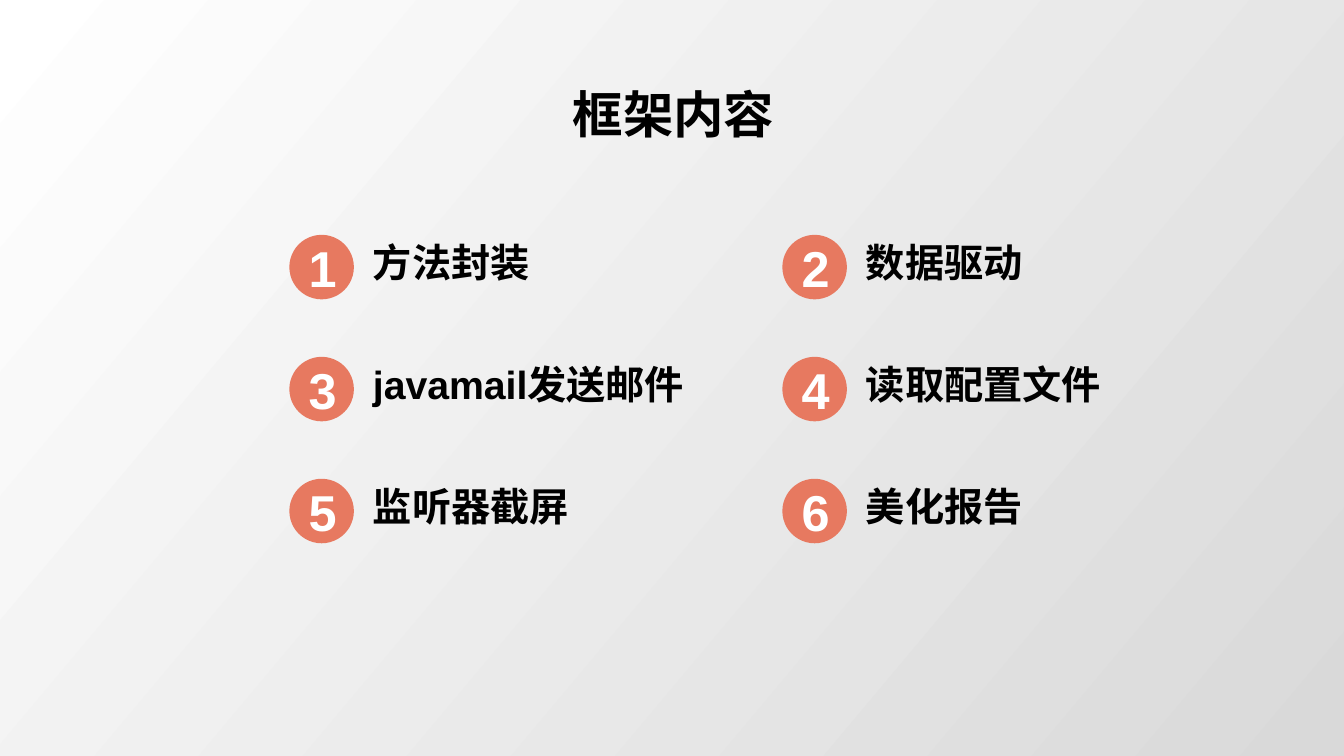
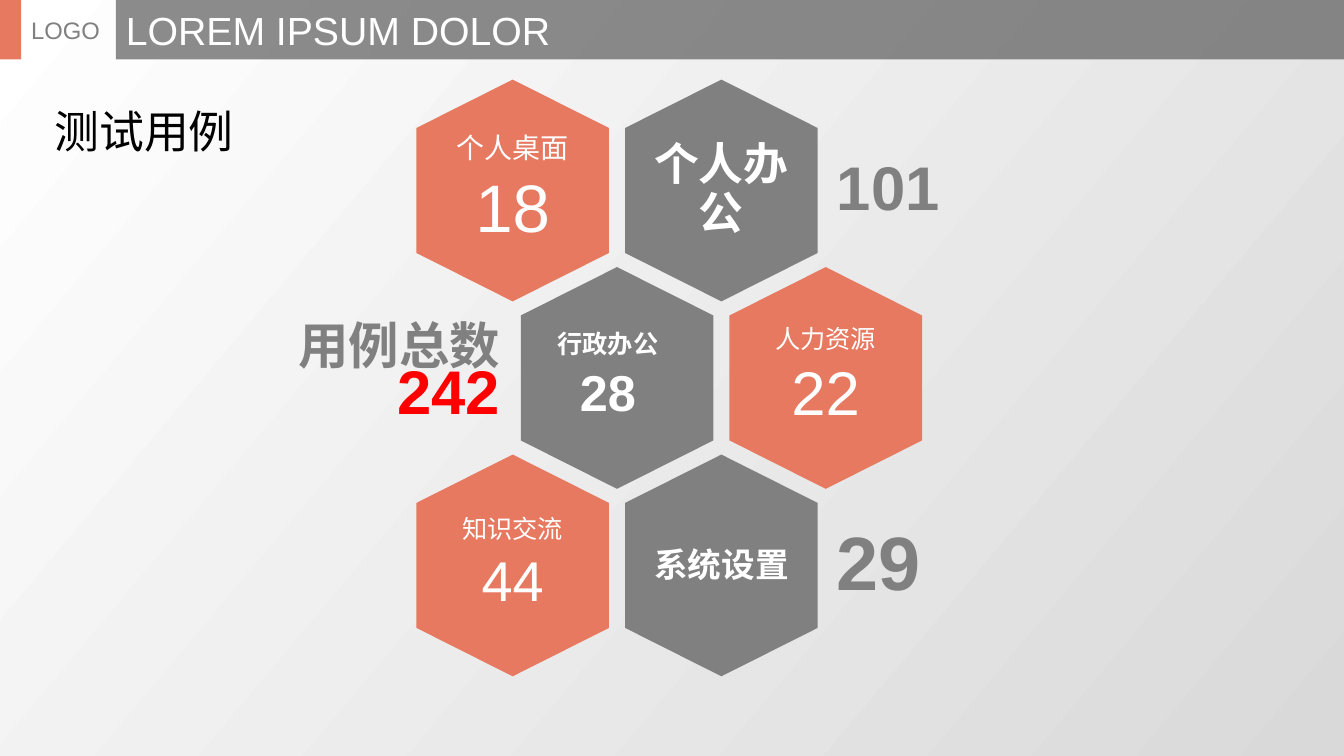
"""Build the framework overview and test case slides."""
from collections.abc import Iterable
from dataclasses import dataclass
from typing import NamedTuple

from lxml.etree import SubElement
from pptx import Presentation
from pptx.dml.color import RGBColor
from pptx.enum.shapes import MSO_SHAPE
from pptx.enum.text import MSO_ANCHOR, MSO_AUTO_SIZE, PP_ALIGN
from pptx.oxml.ns import qn
from pptx.util import Inches, Pt

CORAL = RGBColor(0xE7, 0x79, 0x60)
GREY = RGBColor(0x80, 0x80, 0x80)
BAND_GREY = RGBColor(0x59, 0x59, 0x59)
LIGHT_GREY = RGBColor(0xD9, 0xD9, 0xD9)
WHITE = RGBColor(0xFF, 0xFF, 0xFF)
BLACK = RGBColor(0, 0, 0)
RED = RGBColor(0xFF, 0, 0)

FONT = "Arial"
LEFT, CENTER, RIGHT = PP_ALIGN.LEFT, PP_ALIGN.CENTER, PP_ALIGN.RIGHT
TOP, MIDDLE = MSO_ANCHOR.TOP, MSO_ANCHOR.MIDDLE
TITLE_ONLY = 5
PLAIN_INSETS = (0.1, 0.05)
LABEL_INSETS = (0.13, 0.13)
HEX_INSETS = (0.3, 0.34)
BAND_H = 0.59
HEX_W, HEX_H, HEX_CORNER = 1.91, 2.2, 0.48
HEX_X, HEX_Y, HEX_DX, HEX_DY = 4.13, 0.79, 2.07, 1.86


class Box(NamedTuple):
    left: float
    top: float
    width: float
    height: float

    def lengths(self) -> list[Inches]:
        return [Inches(v) for v in self]


class Run(NamedTuple):
    text: str
    size: int
    color: RGBColor = WHITE
    bold: bool = False


@dataclass(frozen=True)
class Hexagon:
    row: int
    col: int
    fill: RGBColor
    lines: tuple[Run, ...] = ()


@dataclass(frozen=True)
class Label:
    box: Box
    paragraphs: tuple[tuple[Run, ...], ...]
    align: PP_ALIGN = CENTER
    spacing: float = 0.9


ITEMS = ("方法封装", "数据驱动", "javamail发送邮件", "读取配置文件", "监听器截屏", "美化报告")

HEXAGONS = (
    Hexagon(0, 1, GREY),
    Hexagon(0, 0, CORAL, (Run("个人桌面", 20), Run("18", 48))),
    Hexagon(1, 0, GREY),
    Hexagon(1, 1, CORAL, (Run("人力资源", 18), Run("22", 44))),
    Hexagon(2, 1, GREY),
    Hexagon(2, 0, CORAL, (Run("知识交流", 18), Run("44", 40))),
)

LABELS = (
    Label(Box(6.2, 1.23, 1.91, 1.32), ((Run("个人办公", 32, WHITE, True),),)),
    Label(Box(8.17, 1.23, 3.61, 1.32), ((Run("101", 44, GREY, True),),), LEFT),
    Label(Box(5.08, 3.08, 1.9, 1.33),
          ((Run("行政办公", 18, WHITE, True),), (Run("28", 36, WHITE, True),))),
    Label(Box(1.88, 3.09, 3.21, 1.32),
          ((Run("用例总数", 36, GREY, True), Run("242", 44, RED, True)),), RIGHT, 0.7),
    Label(Box(6.2, 4.96, 1.91, 1.32), ((Run("系统设置", 24, WHITE, True),),)),
    Label(Box(8.17, 4.96, 3.61, 1.32), ((Run("29", 54, GREY, True),),), LEFT),
)


def apply(target, values: dict) -> None:
    """Set every named attribute on the target."""
    for name, value in values.items():
        setattr(target, name, value)


def write(sp, paragraphs: Iterable[Iterable[Run]], align=LEFT, anchor=TOP,
          spacing: float = 1.0, after: float = 0, insets=PLAIN_INSETS) -> None:
    """Fill a shape with formatted paragraphs."""
    tf = sp.text_frame
    dx, dy = (Inches(v) for v in insets)
    apply(tf, {"word_wrap": True, "auto_size": MSO_AUTO_SIZE.NONE,
               "vertical_anchor": anchor, "margin_left": dx, "margin_right": dx,
               "margin_top": dy, "margin_bottom": dy})
    for i, runs in enumerate(paragraphs):
        p = tf.add_paragraph() if i else tf.paragraphs[0]
        apply(p, {"alignment": align, "line_spacing": spacing,
                  "space_before": Pt(0), "space_after": Pt(after * runs[0].size)})
        for run in runs:
            r = p.add_run()
            r.text = run.text
            apply(r.font, {"name": FONT, "size": Pt(run.size), "bold": run.bold})
            r.font.color.rgb = run.color


def paint(sp, color: RGBColor) -> None:
    """Give a shape a flat fill without outline or shadow."""
    sp.fill.solid()
    sp.fill.fore_color.rgb = color
    sp.line.fill.background()
    sp.shadow.inherit = False


def add_shape(s, kind: MSO_SHAPE, box: Box, color: RGBColor):
    """Add a flat preset shape."""
    sp = s.shapes.add_shape(kind, *box.lengths())
    paint(sp, color)
    return sp


def add_text(s, box: Box, paragraphs: Iterable[Iterable[Run]], **style) -> None:
    """Add a text box."""
    write(s.shapes.add_textbox(*box.lengths()), paragraphs, **style)


def add_slide(prs, box: Box, title: Run, align: PP_ALIGN):
    """Add a slide with its title placed and formatted."""
    s = prs.slides.add_slide(prs.slide_layouts[TITLE_ONLY])
    sp = s.shapes.title
    apply(sp, dict(zip(box._fields, box.lengths())))
    write(sp, [[title]], align=align)
    return s


def add_hexagon(s, hexagon: Hexagon) -> None:
    """Draw one honeycomb cell; odd rows shift by half a column."""
    x = HEX_X + HEX_DX * (hexagon.col + hexagon.row % 2 / 2)
    y = HEX_Y + HEX_DY * hexagon.row
    mid, right = x + HEX_W / 2, x + HEX_W
    upper, lower, bottom = y + HEX_CORNER, y + HEX_H - HEX_CORNER, y + HEX_H
    outline = s.shapes.build_freeform(Inches(mid), Inches(y))
    outline.add_line_segments(
        [(Inches(px), Inches(py)) for px, py in
         ((right, upper), (right, lower), (mid, bottom), (x, lower), (x, upper))])
    sp = outline.convert_to_shape()
    paint(sp, hexagon.fill)
    if hexagon.lines:
        write(sp, [[line] for line in hexagon.lines], align=CENTER, anchor=MIDDLE,
              spacing=0.9, after=0.35, insets=HEX_INSETS)


def add_band(s) -> None:
    """Draw the translucent header band with its marker."""
    band = add_shape(s, MSO_SHAPE.RECTANGLE, Box(1.15, 0, 12.18, BAND_H), BAND_GREY)
    color = band.fill._xPr.find(qn("a:solidFill"))[0]
    SubElement(color, qn("a:alpha")).set("val", "69000")
    add_shape(s, MSO_SHAPE.RECTANGLE, Box(0, 0, 0.21, BAND_H), CORAL)
    add_text(s, Box(0.21, 0, 0.95, BAND_H), [[Run("LOGO", 17, GREY)]], anchor=MIDDLE)
    add_text(s, Box(1.15, 0, 4.71, BAND_H), [[Run("LOREM IPSUM DOLOR", 28)]], anchor=MIDDLE)


def build_contents(prs) -> None:
    """Build the numbered contents grid."""
    s = add_slide(prs, Box(5.13, 0.77, 3.1, 0.71),
                  Run("框架内容", 36, BLACK, True), CENTER)
    for i, item in enumerate(ITEMS):
        row, col = divmod(i, 2)
        x, y = 2.87 + 4.89 * col, 2.33 + 1.21 * row
        badge = add_shape(s, MSO_SHAPE.OVAL, Box(x, y, 0.64, 0.64), CORAL)
        write(badge, [[Run(str(i + 1), 36, WHITE, True)]], align=CENTER, anchor=MIDDLE)
        add_text(s, Box(x + 0.73, y + 0.04, 3.45, 0.57),
                 [[Run(item, 28, BLACK, True)]], spacing=0.9)


def build_test_cases(prs) -> None:
    """Build the honeycomb of test case counts."""
    s = add_slide(prs, Box(0.44, 0.98, 2.65, 0.64), Run("测试用例", 32, BLACK), LEFT)
    add_band(s)
    for hexagon in HEXAGONS:
        add_hexagon(s, hexagon)
    for label in LABELS:
        add_text(s, label.box, label.paragraphs, align=label.align, anchor=MIDDLE,
                 spacing=label.spacing, after=0.35, insets=LABEL_INSETS)


def main() -> None:
    """Create the presentation and save it."""
    prs = Presentation()
    apply(prs, {"slide_width": Inches(13.33), "slide_height": Inches(7.5)})
    fill = prs.slide_master.background.fill
    fill.gradient()
    fill.gradient_angle = 320
    for stop, color in zip(fill.gradient_stops, (WHITE, LIGHT_GREY)):
        stop.color.rgb = color
    build_contents(prs)
    build_test_cases(prs)
    prs.save("out.pptx")


if __name__ == "__main__":
    main()
